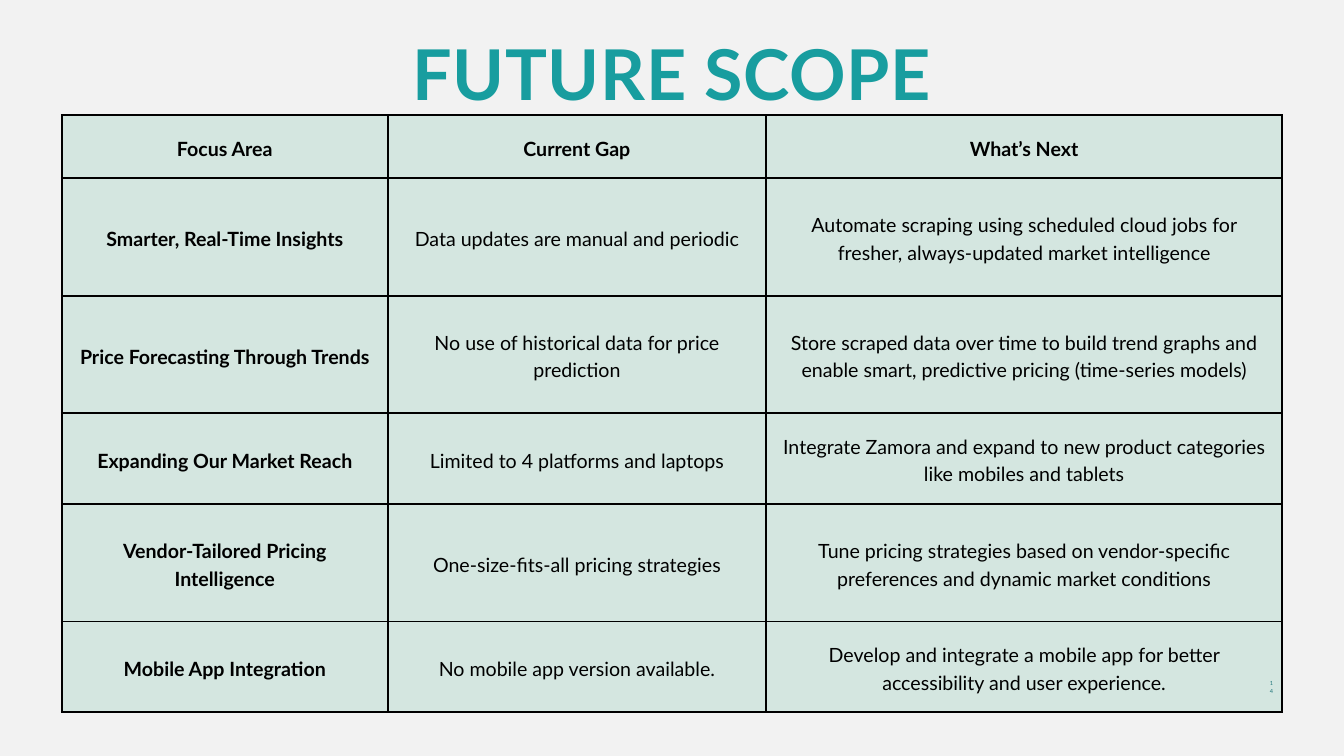
import dataclasses

import lxml.etree
import pptx
import pptx.dml.color
import pptx.enum.text
import pptx.oxml.ns
import pptx.util


@dataclasses.dataclass(frozen=True)
class Theme:
    font: str = "Lato"
    background: str = "F2F2F2"
    title: str = "189D9F"
    number: str = "1C7378"
    ink: str = "000000"
    cell: str = "D4E6E0"
    title_size: float = 75
    title_leading: float = 84.7
    title_tracking: float = 0.7
    table_size: float = 21
    table_leading: float = 29.4
    number_size: float = 6
    number_leading: float = 8.4
    border: float = 2.25


@dataclasses.dataclass(frozen=True)
class Box:
    left: float
    top: float
    width: float
    height: float

    def lengths(self):
        sides = (self.left, self.top, self.width, self.height)
        return [pptx.util.Inches(side) for side in sides]


THEME = Theme()
PAGE = Box(0, 0, 20, 11.25)
TITLE_BOX = Box(1.09, 0.52, 17.82, 1.19)
TABLE_BOX = Box(0.92, 1.71, 18.16, 8.89)
NUMBER_BOX = Box(18.88, 10.1, 0.08, 0.12)
COLUMN_SHARES = (4.85, 5.63, 7.68)
ROW_SHARES = (0.94, 1.75, 1.75, 1.35, 1.75, 1.35)
CELL_MARGIN = 0.21

ROWS = (
    ("Focus Area", "Current Gap", "What’s Next"),
    (
        "Smarter, Real-Time Insights",
        "Data updates are manual and periodic",
        "Automate scraping using scheduled cloud jobs for fresher, always-updated market intelligence",
    ),
    (
        "Price Forecasting Through Trends",
        "No use of historical data for price prediction",
        "Store scraped data over time to build trend graphs and enable smart, predictive pricing (time-series models)",
    ),
    (
        "Expanding Our Market Reach",
        "Limited to 4 platforms and laptops",
        "Integrate Zamora and expand to new product categories like mobiles and tablets",
    ),
    (
        "Vendor-Tailored Pricing Intelligence",
        "One-size-fits-all pricing strategies",
        "Tune pricing strategies based on vendor-specific preferences and dynamic market conditions",
    ),
    (
        "Mobile App Integration",
        "No mobile app version available.",
        "Develop and integrate a mobile app for better accessibility and user experience.",
    ),
)


def color(value):
    return pptx.dml.color.RGBColor.from_string(value)


def set_margins(target, inches):
    for side in ("left", "top", "right", "bottom"):
        setattr(target, f"margin_{side}", pptx.util.Inches(inches))


def write(frame, text, size, leading, ink, bold=False):
    para = frame.paragraphs[0]
    para.alignment = pptx.enum.text.PP_ALIGN.CENTER
    para.line_spacing = pptx.util.Pt(leading)
    para.font.name = THEME.font
    para.font.size = pptx.util.Pt(size)
    para.font.bold = bold
    para.font.color.rgb = color(ink)
    span = para.add_run()
    span.text = text
    return span


def add_text(page, box, *style, **options):
    frame = page.shapes.add_textbox(*box.lengths()).text_frame
    frame.word_wrap = True
    set_margins(frame, 0)
    return write(frame, *style, **options)


def add_title(page, box):
    span = add_text(page, box, "FUTURE SCOPE", THEME.title_size,
                    THEME.title_leading, THEME.title, bold=True)
    span._r.get_or_add_rPr().set("spc", str(round(THEME.title_tracking * 100)))


def add_page_number(page, box):
    add_text(page, box, "14", THEME.number_size, THEME.number_leading, THEME.number)


def add_borders(cell):
    qualified = pptx.oxml.ns.qn
    properties = cell._tc.get_or_add_tcPr()
    for side in ("lnL", "lnR", "lnT", "lnB"):
        line = lxml.etree.SubElement(properties, qualified(f"a:{side}"))
        line.set("w", str(pptx.util.Pt(THEME.border)))
        fill = lxml.etree.SubElement(line, qualified("a:solidFill"))
        lxml.etree.SubElement(fill, qualified("a:srgbClr")).set("val", THEME.ink)


def fill_cell(cell, text, bold):
    add_borders(cell)
    cell.fill.solid()
    cell.fill.fore_color.rgb = color(THEME.cell)
    cell.vertical_anchor = pptx.enum.text.MSO_ANCHOR.MIDDLE
    set_margins(cell, CELL_MARGIN)
    write(cell.text_frame, text, THEME.table_size, THEME.table_leading, THEME.ink, bold)


def add_scope_table(page, box):
    table = page.shapes.add_table(len(ROWS), len(COLUMN_SHARES), *box.lengths()).table
    for column, share in zip(table.columns, COLUMN_SHARES):
        column.width = pptx.util.Inches(box.width * share / sum(COLUMN_SHARES))
    for row, share in zip(table.rows, ROW_SHARES):
        row.height = pptx.util.Inches(box.height * share / sum(ROW_SHARES))
    for row_index, texts in enumerate(ROWS):
        for column_index, text in enumerate(texts):
            bold = row_index == 0 or column_index == 0
            fill_cell(table.cell(row_index, column_index), text, bold)


def main():
    deck = pptx.Presentation()
    deck.slide_width = pptx.util.Inches(PAGE.width)
    deck.slide_height = pptx.util.Inches(PAGE.height)
    page = deck.slides.add_slide(deck.slide_layouts[6])
    page.background.fill.solid()
    page.background.fill.fore_color.rgb = color(THEME.background)
    add_scope_table(page, TABLE_BOX)
    add_title(page, TITLE_BOX)
    add_page_number(page, NUMBER_BOX)
    deck.save("out.pptx")


if __name__ == "__main__":
    main()
